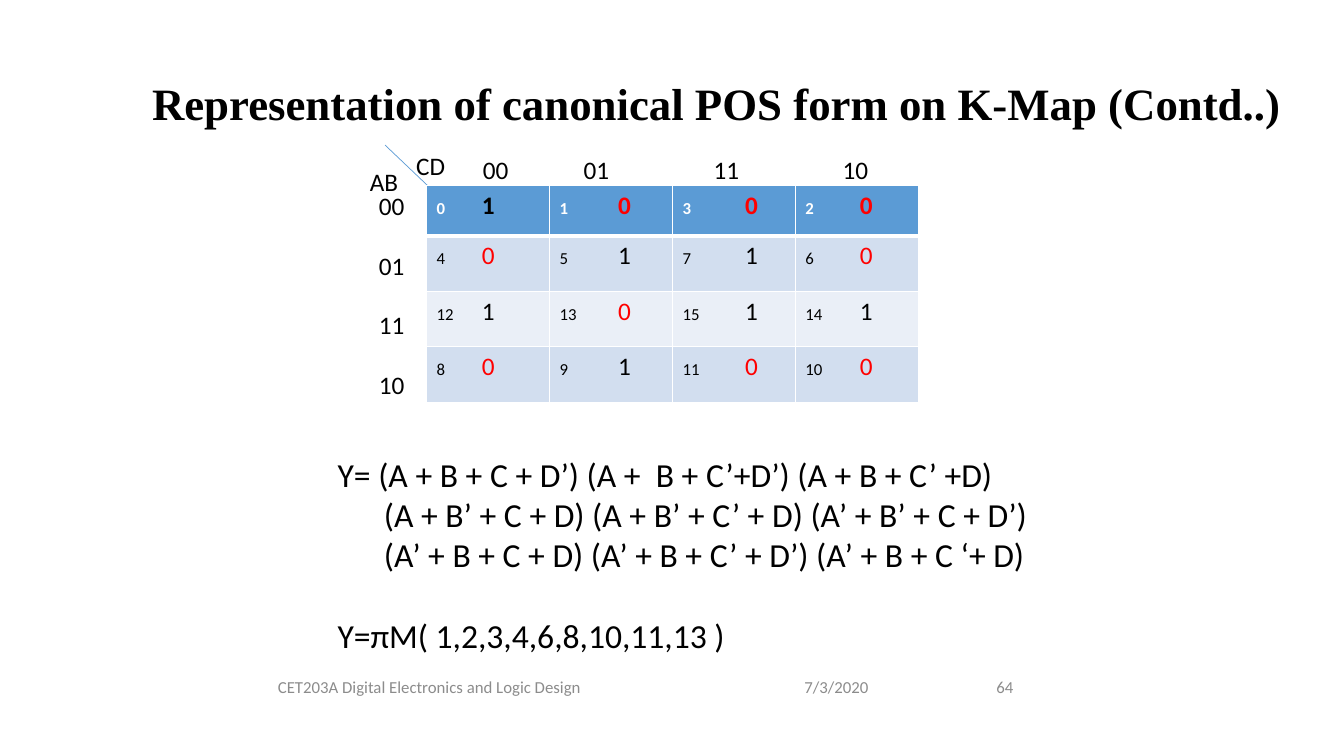
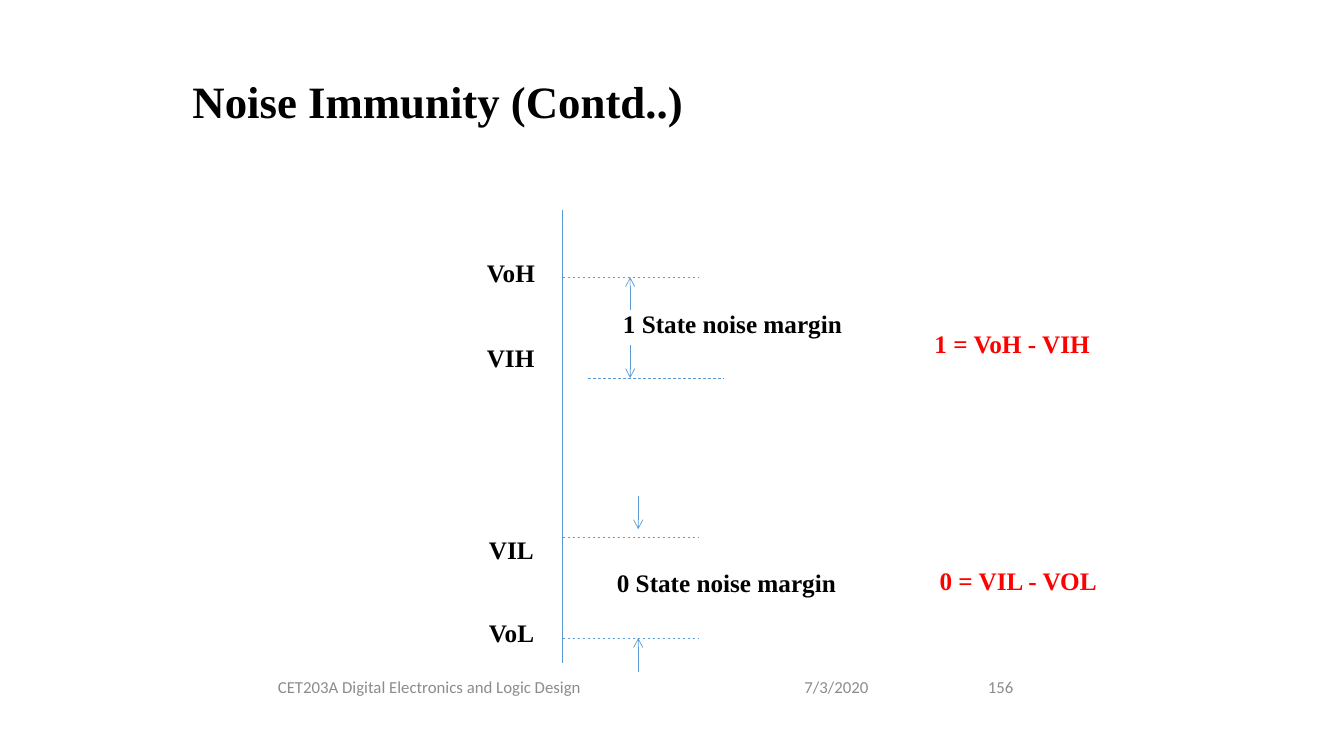
"""Build two slides on digital logic: a Karnaugh map and noise margins."""
import dataclasses

import lxml.etree
import pptx
import pptx.dml.color
import pptx.enum.dml
import pptx.enum.shapes
import pptx.enum.text
import pptx.oxml.ns
import pptx.util

EMU_PER_PX = 9144
GRAY_CODE = (0, 1, 3, 2)
MAXTERMS = (1, 2, 3, 4, 6, 8, 10, 11, 13)
ALIGN = pptx.enum.text.PP_ALIGN
MIDDLE = pptx.enum.text.MSO_ANCHOR.MIDDLE
qn = pptx.oxml.ns.qn


@dataclasses.dataclass(frozen=True)
class TextStyle:
    name: str
    size: int
    color: str
    bold: bool = False


@dataclasses.dataclass(frozen=True)
class Theme:
    blue: str = "5B9BD5"
    white: str = "FFFFFF"
    bands: tuple = ("5B9BD5", "D2DEEF", "EAEFF7", "D2DEEF")
    line_width: float = 0.5
    cell_border: int = 1
    header_border: int = 3
    title: TextStyle = TextStyle("Times New Roman", 32, "000000", True)
    label: TextStyle = TextStyle("Times New Roman", 18, "000000", True)
    margin: TextStyle = TextStyle("Times New Roman", 18, "FF0000", True)
    footer: TextStyle = TextStyle("Calibri", 12, "8C8C8C")
    formula: TextStyle = TextStyle("Calibri", 24, "000000")
    one: TextStyle = TextStyle("Calibri", 18, "000000")
    zero: TextStyle = TextStyle("Calibri", 18, "FF0000")
    index: TextStyle = TextStyle("Calibri", 12, "000000")


def px(length):
    return pptx.util.Emu(length * EMU_PER_PX)


def rgb(color):
    return pptx.dml.color.RGBColor.from_string(color)


class Deck:
    def __init__(self, theme):
        self.theme = theme
        self.presentation = pptx.Presentation()
        self.presentation.slide_width = px(1333)
        self.presentation.slide_height = px(750)
        self.slide = None

    def new_slide(self, title, title_box, number):
        layout = self.presentation.slide_layouts[6]
        self.slide = self.presentation.slides.add_slide(layout)
        self.text(title_box, [title], self.theme.title, anchor=MIDDLE, line_spacing=0.9)
        for left, width, wording, alignment in (
            (89, 674, "CET203A Digital Electronics and Logic Design", ALIGN.CENTER),
            (788, 100, "7/3/2020", ALIGN.LEFT),
            (940, 75, number, ALIGN.RIGHT),
        ):
            self.text((left, 661, width, 40), [wording], self.theme.footer,
                      anchor=MIDDLE, alignment=alignment)

    def run(self, paragraph, wording, style):
        run = paragraph.add_run()
        run.text = wording
        formats = {"name": style.name, "size": pptx.util.Pt(style.size), "bold": style.bold}
        for key, value in formats.items():
            setattr(run.font, key, value)
        run.font.color.rgb = rgb(style.color)

    def tabs(self, paragraph, stops):
        properties = paragraph._p.get_or_add_pPr()
        tab_list = lxml.etree.SubElement(properties, qn("a:tabLst"))
        for stop in stops:
            lxml.etree.SubElement(tab_list, qn("a:tab"), pos=str(px(stop)), algn="l")

    def text(self, box, lines, style, anchor=None, wrap=True, stops=(), **formats):
        frame = self.slide.shapes.add_textbox(*map(px, box)).text_frame
        frame.word_wrap = wrap
        if anchor is not None:
            frame.vertical_anchor = anchor
        for position, wording in enumerate(lines):
            paragraph = frame.add_paragraph() if position else frame.paragraphs[0]
            if stops:
                self.tabs(paragraph, stops)
            for key, value in formats.items():
                if position or key != "space_before":
                    setattr(paragraph, key, value)
            self.run(paragraph, wording, style)
        return frame.paragraphs

    def line(self, start, end, dashed=False, arrow=False):
        connector = self.slide.shapes.add_connector(
            pptx.enum.shapes.MSO_CONNECTOR.STRAIGHT, *map(px, start + end))
        connector.line.color.rgb = rgb(self.theme.blue)
        connector.line.width = pptx.util.Pt(self.theme.line_width)
        if dashed:
            connector.line.dash_style = pptx.enum.dml.MSO_LINE.DASH
        properties = connector._element.spPr
        if arrow:
            lxml.etree.SubElement(properties.find(qn("a:ln")), qn("a:tailEnd"), type="arrow")
        lxml.etree.SubElement(properties, qn("a:effectLst"))

    def borders(self, cell, row):
        widths = {"L": self.theme.cell_border, "R": self.theme.cell_border,
                  "T": self.theme.header_border if row == 1 else self.theme.cell_border,
                  "B": self.theme.header_border if row == 0 else self.theme.cell_border}
        properties = cell._tc.get_or_add_tcPr()
        for position, (side, width) in enumerate(widths.items()):
            border = lxml.etree.Element(qn(f"a:ln{side}"), w=str(pptx.util.Pt(width)))
            fill = lxml.etree.SubElement(border, qn("a:solidFill"))
            lxml.etree.SubElement(fill, qn("a:srgbClr"), val=self.theme.white)
            properties.insert(position, border)

    def karnaugh_map(self, box, row_heights, value_stops):
        size = len(GRAY_CODE)
        table = self.slide.shapes.add_table(size, size, *map(px, box)).table
        for row, height in enumerate(row_heights):
            table.rows[row].height = px(height)
            header = row == 0
            for column, stop in enumerate(value_stops):
                cell = table.cell(row, column)
                cell.fill.solid()
                cell.fill.fore_color.rgb = rgb(self.theme.bands[row])
                self.borders(cell, row)
                index = 4 * GRAY_CODE[row] + GRAY_CODE[column]
                value, value_style = ("0", self.theme.zero) if index in MAXTERMS else ("1", self.theme.one)
                index_style = self.theme.index
                if header:
                    index_style = dataclasses.replace(index_style, color=self.theme.white, bold=True)
                    value_style = dataclasses.replace(value_style, bold=True)
                paragraph = cell.text_frame.paragraphs[0]
                self.tabs(paragraph, [stop])
                self.run(paragraph, f"{index}\t", index_style)
                self.run(paragraph, value, value_style)


def add_canonical_form(deck):
    theme = deck.theme
    deck.new_slide("Representation of canonical POS form on K-Map (Contd..)",
                   (141, 33, 1150, 145), "64")
    codes = [f"{code:02b}" for code in GRAY_CODE]
    deck.text((357, 160, 58, 40), ["AB"], theme.one)
    deck.line((382, 144), (424, 184))
    deck.text((469, 148, 467, 40), ["\t".join(codes)], theme.one, stops=(100, 229, 357))
    deck.text((403, 144, 54, 40), ["CD"], theme.one)
    deck.text((366, 184, 54, 222), codes, theme.one, space_before=pptx.util.Pt(21))
    deck.karnaugh_map((423, 184, 488, 215), (50, 55, 55, 55), (45, 58, 62, 54))
    formulas = deck.text((325, 445, 717, 212), [
        "Y= (A + B + C + D’) (A +  B + C’+D’) (A + B + C’ +D)",
        "(A + B’ + C + D) (A + B’ + C’ + D) (A’ + B’ + C + D’)",
        "(A’ + B + C + D) (A’ + B + C’ + D’) (A’ + B + C ‘+ D)",
        f"Y=πM( {','.join(map(str, MAXTERMS))} )",
    ], theme.formula)
    for continuation in formulas[1:3]:
        continuation._p.get_or_add_pPr().set("marL", str(px(46)))
    formulas[3].space_before = pptx.util.Pt(29)


def add_noise_immunity(deck):
    theme = deck.theme
    deck.new_slide("Noise Immunity (Contd..)", (181, 31, 842, 144), "156")
    deck.line((558, 208), (558, 658))
    for left, top in ((558, 275), (583, 375), (558, 533), (558, 633)):
        deck.line((left, top), (left + 134, top), dashed=True)
    for left, top, width, wording, style in (
        (473, 250, 68, "VoH", theme.label),
        (473, 335, 68, "VIH", theme.label),
        (475, 525, 65, "VIL", theme.label),
        (475, 608, 66, "VoL", theme.label),
        (608, 301, 240, "1 State noise margin", theme.label),
        (602, 558, 240, "0 State noise margin", theme.label),
        (917, 321, 176, "1 = VoH - VIH", theme.margin),
        (922, 556, 178, "0 = VIL - VOL", theme.margin),
    ):
        deck.text((left, top, width, 40), [wording], style, wrap=False)
    for x, tail, tip in ((625, 308, 275), (633, 667, 633), (625, 342, 375), (633, 492, 525)):
        deck.line((x, tail), (x, tip), arrow=True)


def main():
    deck = Deck(Theme())
    add_canonical_form(deck)
    add_noise_immunity(deck)
    deck.presentation.save("out.pptx")


if __name__ == "__main__":
    main()
